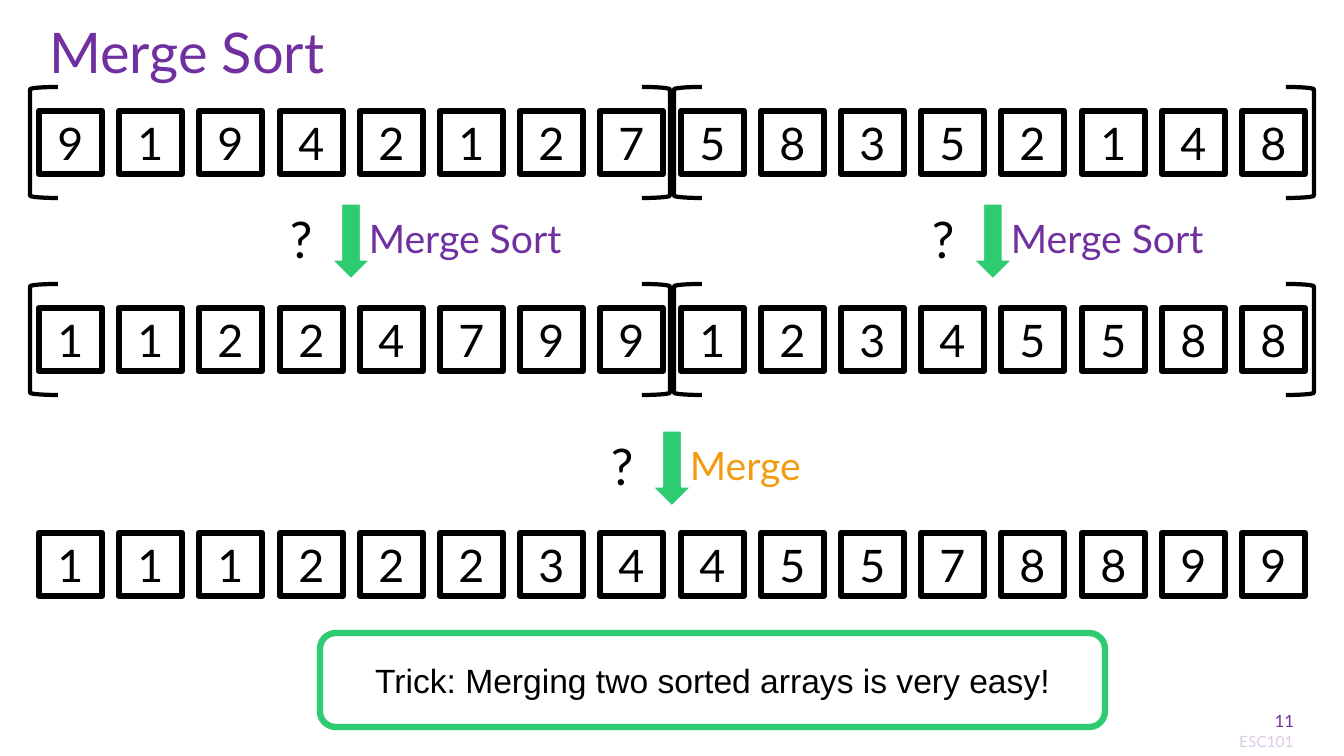
from lxml.etree import SubElement
from pptx import Presentation
from pptx.dml.color import RGBColor
from pptx.enum.shapes import MSO_SHAPE
from pptx.enum.text import MSO_ANCHOR, MSO_AUTO_SIZE, PP_ALIGN
from pptx.oxml.ns import qn
from pptx.util import Emu, Pt

COLOURS = {
    "ink": "000000",
    "paper": "FFFFFF",
    "purple": "7030A0",
    "green": "2ECC71",
    "orange": "F39C12",
}
EMU_PER_PX = 914400 / 100.8
FIRST_CELL, LAST_CELL, CELL_SIZE = 39, 1242, 63
BRACKET_LEFTS = (30, 674)


def px(length):
    return Emu(round(length * EMU_PER_PX))


class SlideBuilder:
    """Draws styled elements on the current slide, measured in px."""

    def __init__(self, deck, font="Lato"):
        self.font = font
        self.page = deck.slides.add_slide(deck.slide_layouts[5])

    def colour(self, name):
        return RGBColor.from_string(COLOURS[name])

    def add_words(self, frame, text, size, colour, align=PP_ALIGN.LEFT, font=None):
        para = frame.paragraphs[0]
        para.alignment = align
        span = para.add_run()
        span.text = text
        span.font.name = font or self.font
        span.font.size = Pt(size)
        span.font.color.rgb = self.colour(colour)
        return para

    def title(self, text, *area):
        title = self.page.shapes.title
        title.left, title.top, title.width, title.height = map(px, area)
        frame = title.text_frame
        frame.auto_size = MSO_AUTO_SIZE.NONE
        frame.vertical_anchor = MSO_ANCHOR.MIDDLE
        self.add_words(frame, text, 40, "purple").line_spacing = 0.9

    def text(self, text, area, size, colour, align=PP_ALIGN.LEFT, anchor=MSO_ANCHOR.TOP):
        frame = self.page.shapes.add_textbox(*map(px, area)).text_frame
        frame.word_wrap = True
        frame.vertical_anchor = anchor
        if anchor == MSO_ANCHOR.TOP:
            frame.auto_size = MSO_AUTO_SIZE.SHAPE_TO_FIT_TEXT
        self.add_words(frame, text, size, colour, align)

    def shape(self, preset, area, fill=None, line=None, weight=1):
        shape = self.page.shapes.add_shape(preset, *map(px, area))
        shape.shadow.inherit = False
        if fill:
            shape.fill.solid()
            shape.fill.fore_color.rgb = self.colour(fill)
        else:
            shape.fill.background()
        if line:
            shape.line.color.rgb = self.colour(line)
            shape.line.width = Pt(weight)
        else:
            shape.line.fill.background()
        return shape

    def veil(self, *area):
        veil = self.shape(MSO_SHAPE.RECTANGLE, area, "paper")
        tint = veil.element.spPr.find(qn("a:solidFill"))[0]
        SubElement(tint, qn("a:alpha")).set("val", "75000")

    def framed(self, preset, text, area, size, line, font=None):
        shape = self.shape(preset, area, "paper", line, 4.5)
        frame = shape.text_frame
        frame.vertical_anchor = MSO_ANCHOR.MIDDLE
        self.add_words(frame, text, size, "ink", PP_ALIGN.CENTER, font)

    def array(self, digits, top):
        pitch = (LAST_CELL - FIRST_CELL) / (len(digits) - 1)
        for index, digit in enumerate(digits):
            area = (round(FIRST_CELL + index * pitch), top, CELL_SIZE, CELL_SIZE)
            self.framed(MSO_SHAPE.RECTANGLE, digit, area, 32, "ink")

    def brackets(self, array_top):
        for left in BRACKET_LEFTS:
            for shift in (0, 612):
                area = (left + shift, array_top - 24, 28, 111)
                bracket = self.shape(MSO_SHAPE.LEFT_BRACKET, area, line="ink", weight=3)
                if shift:
                    bracket.element.spPr.get_or_add_xfrm().set("flipH", "1")

    def step(self, label, left, top, colour):
        self.shape(MSO_SHAPE.DOWN_ARROW, (left, top, 38, 75), "green", "paper")
        self.text("?", (left - 52, top - 1, 80, 72), 36, "ink")
        self.text(label, (left + 27, top + 5, 250, 57), 28, colour)


def main():
    deck = Presentation()
    deck.slide_width, deck.slide_height = px(1344), px(756)
    slide = SlideBuilder(deck)

    slide.text("ESC101", (1189, 727, 155, 29), 11, "purple", PP_ALIGN.CENTER)
    slide.veil(1189, 578, 155, 178)
    slide.title("Merge Sort", 39, 0, 1265, 111)
    slide.text("11", (1252, 701, 52, 40), 12, "purple", PP_ALIGN.RIGHT, MSO_ANCHOR.MIDDLE)

    for digits, top in (("9194212758352148", 111), ("1122479912345588", 308)):
        slide.array(digits, top)
        slide.brackets(top)
    slide.array("1112223445578899", 533)

    slide.step("Merge Sort", 332, 204, "purple")
    slide.step("Merge Sort", 974, 204, "purple")
    slide.step("Merge", 653, 431, "orange")

    slide.framed(
        MSO_SHAPE.ROUNDED_RECTANGLE,
        "Trick: Merging two sorted arrays is very easy!",
        (320, 633, 785, 94), 24, "green", "Arial",
    )
    deck.save("out.pptx")


if __name__ == "__main__":
    main()
